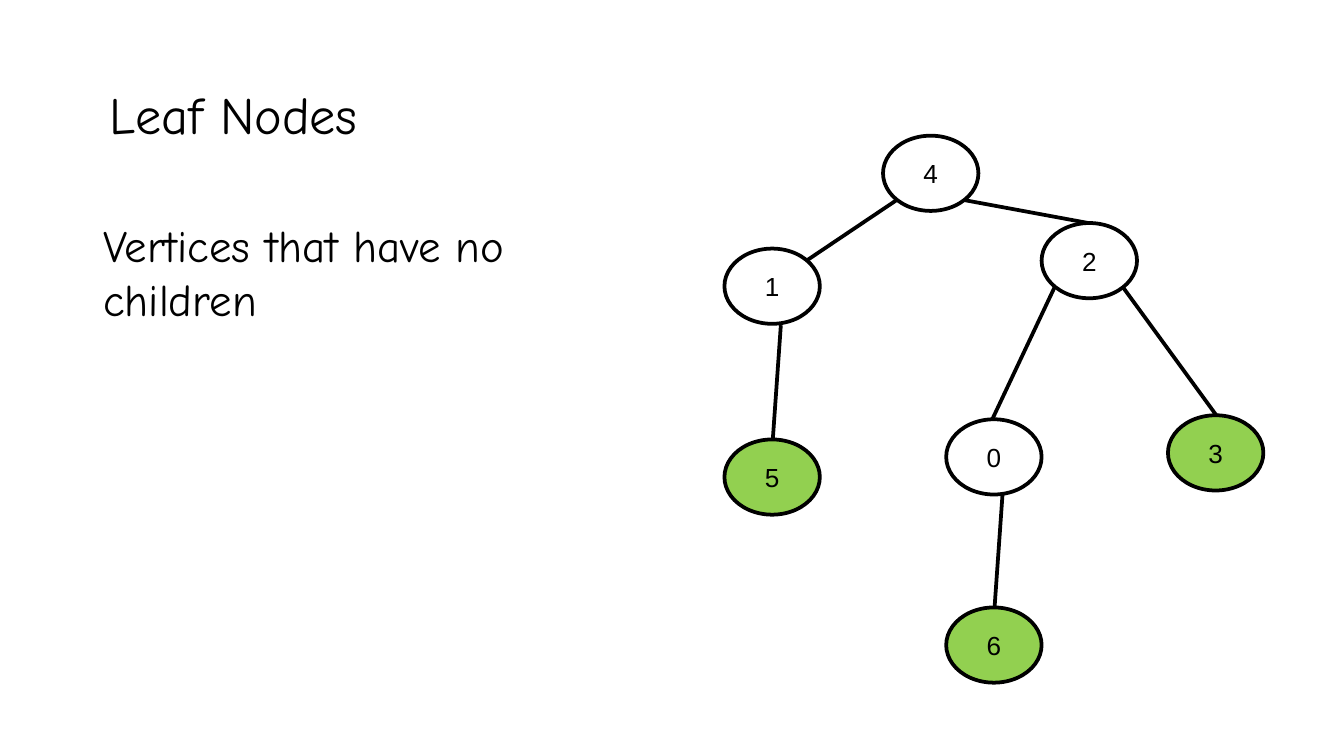
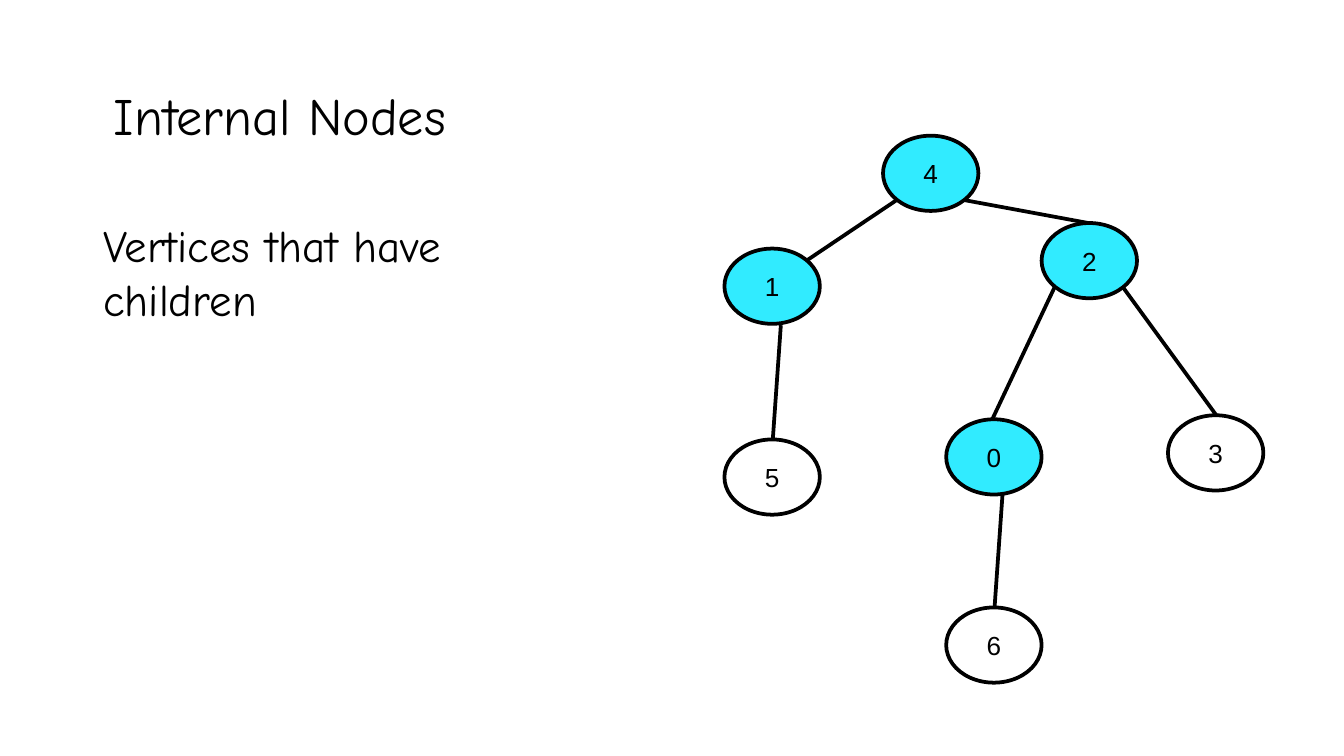
from lxml import etree
from pptx import Presentation
from pptx.dml.color import RGBColor
from pptx.enum import shapes, text
from pptx.oxml import ns
from pptx.util import Inches, Pt

BLACK = RGBColor(0x00, 0x00, 0x00)
WHITE = RGBColor(0xFF, 0xFF, 0xFF)
GREEN = RGBColor(0x92, 0xD0, 0x50)
CYAN = RGBColor(0x31, 0xEB, 0xFF)

NODE_WIDTH, NODE_HEIGHT = 0.71, 0.56
NODES = {
    "4": (6.57, 1.01),
    "2": (7.75, 1.66),
    "1": (5.39, 1.85),
    "3": (8.69, 3.09),
    "5": (5.39, 3.27),
    "0": (7.04, 3.12),
    "6": (7.04, 4.52),
}
EDGES = [
    (6.67, 1.49, 6.00, 1.94),
    (7.18, 1.49, 8.10, 1.66),
    (8.35, 2.13, 9.05, 3.09),
    (5.81, 2.42, 5.75, 3.27),
    (7.85, 2.13, 7.35, 3.19),
    (7.46, 3.67, 7.40, 4.52),
]
SLIDES = [
    ("Leaf Nodes", (0.72, 0.51), "Vertices that have no children", 1.04, "356", GREEN),
    ("Internal Nodes", (0.75, 0.52), "Vertices that have children", 1.36, "4210", CYAN),
]


def write(shape, words, font, size):
    frame = shape.text_frame
    frame.word_wrap = True
    frame.margin_left = frame.margin_right = Inches(0.1)
    frame.margin_top = frame.margin_bottom = Inches(0.1)
    frame.text = words
    run = frame.paragraphs[0].runs[0]
    run.font.name = font
    run.font.size = Pt(size)
    run.font.color.rgb = BLACK


def outline(shape):
    shape.line.color.rgb = BLACK
    shape.line.width = Pt(2)


deck = Presentation()
deck.slide_width = Inches(10)
deck.slide_height = Inches(5.625)

for heading, (left, top), definition, height, marked, colour in SLIDES:
    slide = deck.slides.add_slide(deck.slide_layouts[6])

    title = slide.shapes.add_textbox(Inches(left), Inches(top), Inches(4.13), Inches(0.63))
    write(title, heading, "Comic Neue", 28)

    for edge_ends in EDGES:
        edge = slide.shapes.add_connector(
            shapes.MSO_CONNECTOR.STRAIGHT, *[Inches(value) for value in edge_ends])
        outline(edge)
        etree.SubElement(edge._element.spPr, ns.qn("a:effectLst"))

    for label, (x, y) in NODES.items():
        node = slide.shapes.add_shape(
            shapes.MSO_SHAPE.FLOWCHART_CONNECTOR,
            Inches(x), Inches(y), Inches(NODE_WIDTH), Inches(NODE_HEIGHT))
        node.shadow.inherit = False
        node.fill.solid()
        node.fill.fore_color.rgb = colour if label in marked else WHITE
        outline(node)
        write(node, label, "Arial", 14)
        node.text_frame.vertical_anchor = text.MSO_ANCHOR.MIDDLE
        node.text_frame.paragraphs[0].alignment = text.PP_ALIGN.CENTER

    meaning = slide.shapes.add_textbox(Inches(0.67), Inches(1.52), Inches(3.85), Inches(height))
    write(meaning, definition, "Comic Neue", 24)

deck.save("out.pptx")
